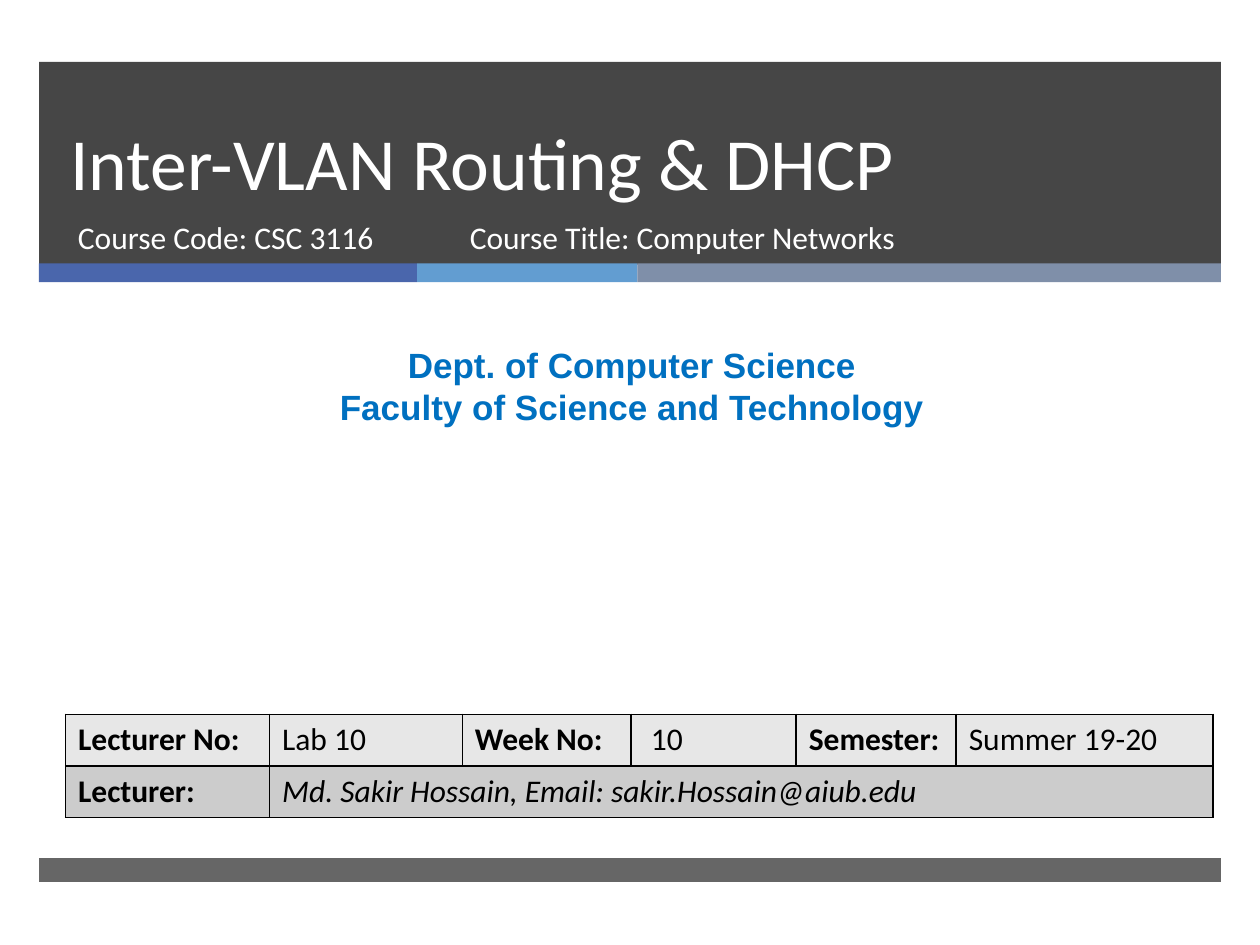
from lxml.etree import SubElement
from pptx import Presentation
from pptx.dml.color import RGBColor
from pptx.enum.shapes import MSO_SHAPE
from pptx.enum.text import MSO_ANCHOR, MSO_AUTO_SIZE, PP_ALIGN
from pptx.oxml import parse_xml
from pptx.oxml.ns import nsdecls, qn
from pptx.util import Inches, Pt

CHARCOAL = RGBColor(0x26, 0x26, 0x26)
INDIGO = RGBColor(0x4A, 0x66, 0xAC)
SKY = RGBColor(0x62, 0x9D, 0xD1)
SLATE = RGBColor(0x7F, 0x8F, 0xA9)
BLUE = RGBColor(0x00, 0x70, 0xC0)
WHITE = RGBColor(0xFF, 0xFF, 0xFF)
BLACK = RGBColor(0x00, 0x00, 0x00)
ROW_FILLS = [RGBColor(0xE7, 0xE7, 0xE7), RGBColor(0xCC, 0xCC, 0xCC)]

TITLE = "Inter-VLAN Routing & DHCP"
COURSE_LINES = [  # text, left, width
    ("Course Code: CSC 3116", 0.52, 3.05),
    ("Course Title: Computer Networks", 3.63, 4.55),
]
DEPARTMENT = "Dept. of Computer Science\nFaculty of Science and Technology"
LECTURE_ROWS = [
    ["Lecturer No:", "Lab 10", "Week No:", " 10", "Semester:", "Summer 19-20"],
    ["Lecturer:", "Md. Sakir Hossain, Email: sakir.Hossain@aiub.edu"],
]
COLUMN_WIDTHS = [1.62, 1.53, 1.34, 1.31, 1.27, 2.04]
ROW_HEIGHT = 0.41

BAND_LEFT, BAND_WIDTH = 0.31, 9.38
STRIPES = [(INDIGO, 3), (SKY, 1.75), (SLATE, 4.63)]  # colour, width


def add_band(slide, left, top, width, height, color, opacity=100):
    band = slide.shapes.add_shape(MSO_SHAPE.RECTANGLE, Inches(left), Inches(top),
                                  Inches(width), Inches(height))
    band.shadow.inherit = False
    band.line.fill.background()
    band.fill.solid()
    band.fill.fore_color.rgb = color
    if opacity < 100:
        srgb = band.fill._xPr.find(".//" + qn("a:srgbClr"))
        SubElement(srgb, qn("a:alpha"), val=str(opacity * 1000))


def format_runs(frame, size, color, font="Calibri", bold=False, italic=False):
    for paragraph in frame.paragraphs:
        for run in paragraph.runs:
            run.font.size = Pt(size)
            run.font.name = font
            run.font.color.rgb = color
            run.font.bold = bold
            run.font.italic = italic


def add_text(slide, text, left, top, width, height):
    frame = slide.shapes.add_textbox(Inches(left), Inches(top),
                                     Inches(width), Inches(height)).text_frame
    frame.word_wrap = True
    frame.text = text
    return frame


def add_borders(cell):
    properties = cell._tc.get_or_add_tcPr()
    for position, side in enumerate(("lnL", "lnR", "lnT", "lnB")):
        properties.insert(position, parse_xml(
            f'<a:{side} {nsdecls("a")} w="12700"><a:solidFill>'
            f'<a:srgbClr val="{BLACK}"/></a:solidFill></a:{side}>'))


def add_header(slide):
    add_band(slide, BAND_LEFT, 0.49, BAND_WIDTH, 1.61, CHARCOAL, 85)
    left = BAND_LEFT
    for color, width in STRIPES:
        add_band(slide, left, 2.09, width, 0.15, color)
        left += width

    title = slide.shapes.title
    slide.shapes._spTree.append(title._element)  # in front of the header band
    title.left, title.top = Inches(0.46), Inches(0.49)
    title.width, title.height = Inches(8.54), Inches(1.19)
    frame = title.text_frame
    frame.text = TITLE
    frame.auto_size = MSO_AUTO_SIZE.NONE
    frame.vertical_anchor = MSO_ANCHOR.BOTTOM
    frame.paragraphs[0].alignment = PP_ALIGN.LEFT
    frame.paragraphs[0].line_spacing = Pt(46)
    format_runs(frame, 42, WHITE)

    for text, left, width in COURSE_LINES:
        format_runs(add_text(slide, text, left, 1.68, width, 0.53), 18, WHITE)


def add_department(slide):
    frame = add_text(slide, DEPARTMENT, 0.08, 2.68, 9.87, 0.77)
    for paragraph in frame.paragraphs:
        paragraph.alignment = PP_ALIGN.CENTER
    format_runs(frame, 20, BLUE, font="Arial", bold=True)


def add_lecture_table(slide):
    rows, columns = len(LECTURE_ROWS), len(COLUMN_WIDTHS)
    table = slide.shapes.add_table(
        rows, columns, Inches(0.52), Inches(5.67),
        Inches(sum(COLUMN_WIDTHS)), Inches(rows * ROW_HEIGHT)).table
    for column, width in zip(table.columns, COLUMN_WIDTHS):
        column.width = Inches(width)
    for r, texts in enumerate(LECTURE_ROWS):
        table.rows[r].height = Inches(ROW_HEIGHT)
        for c in range(columns):
            cell = table.cell(r, c)
            cell.fill.solid()
            cell.fill.fore_color.rgb = ROW_FILLS[r]
            add_borders(cell)
            if c < len(texts):
                cell.text = texts[c]
                is_label = c % 2 == 0
                format_runs(cell.text_frame, 18, BLACK, bold=is_label,
                            italic=r == 1 and not is_label)
    table.cell(1, 1).merge(table.cell(1, columns - 1))


def main():
    prs = Presentation()
    prs.slide_width, prs.slide_height = Inches(10), Inches(7.5)
    slide = prs.slides.add_slide(prs.slide_layouts[5])
    add_header(slide)
    add_department(slide)
    add_lecture_table(slide)
    add_band(slide, BAND_LEFT, 6.81, BAND_WIDTH, 0.19, CHARCOAL, 70)
    prs.save("out.pptx")


if __name__ == "__main__":
    main()
